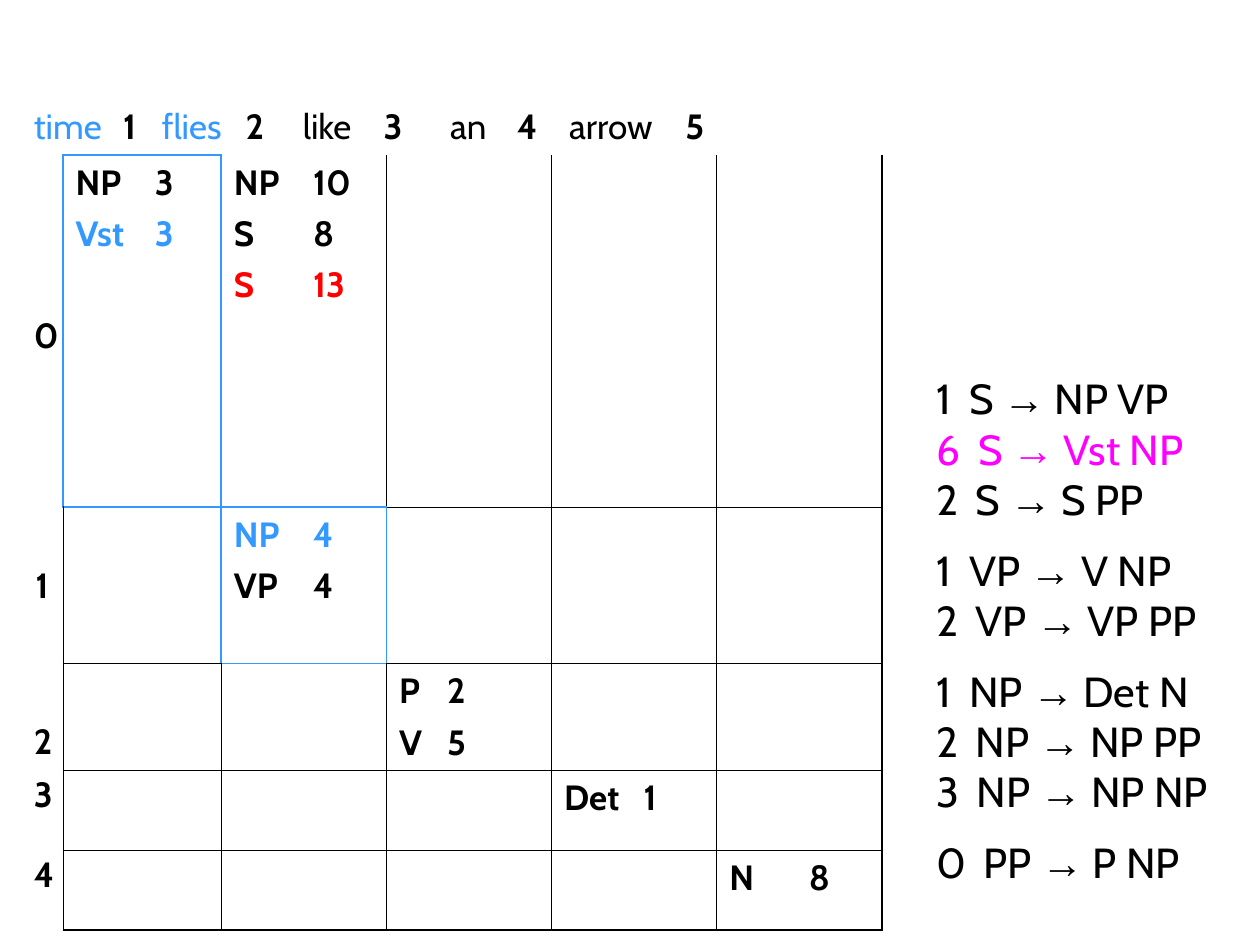
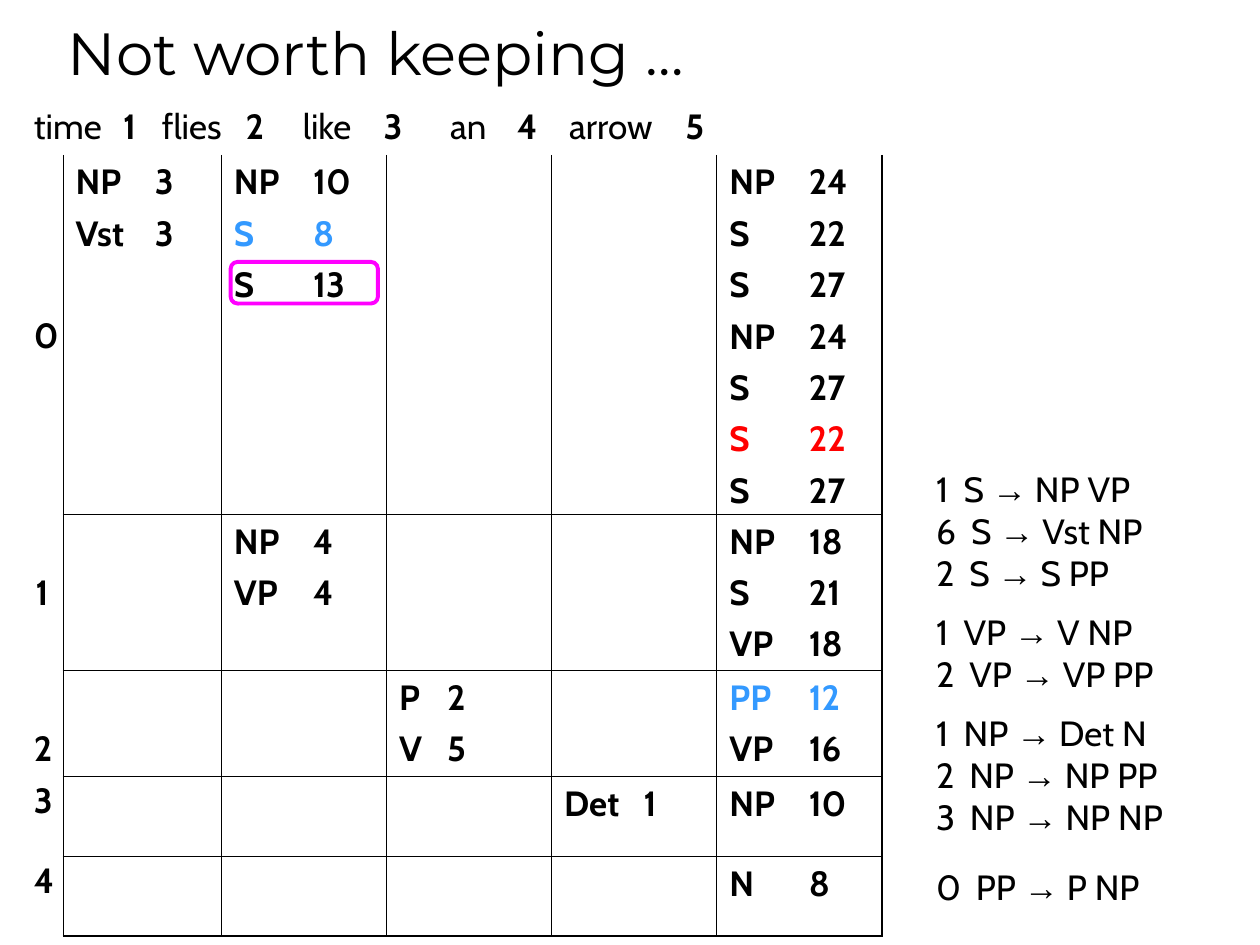
from dataclasses import dataclass

import pptx
import pptx.dml.color
import pptx.enum.shapes
import pptx.enum.text
import pptx.oxml.ns
import pptx.util
from lxml import etree

Cm = pptx.util.Cm
Pt = pptx.util.Pt


@dataclass(frozen=True)
class Theme:
    black: str = "000000"
    blue: str = "3399FF"
    red: str = "FF0000"
    magenta: str = "FF00FF"
    body_font: str = "Cabin"
    arrow_font: str = "Arial"
    title_font: str = "Montserrat"
    title_size: int = 34
    large_size: int = 24
    chart_size: int = 20
    thin: float = 0.45
    thick: float = 1.08


THEME = Theme()
NO_GRID_STYLE = "{2D5ABB26-0587-4C30-8999-92F81FD0307C}"
MARGIN_TOP = 0.13
LINE_PITCH = 1.03

COLUMN_WIDTHS = [0.84, 3.19] + [3.33] * 4
HEADER_HEIGHT = 1.11
LOWER_ROW_HEIGHTS = [3.15, 2.14, 1.61, 1.61]
LAST_ROW = len(LOWER_ROW_HEIGHTS) + 1
LAST_COLUMN = len(COLUMN_WIDTHS) - 1

SENTENCE = ["time", "1", "flies", "2", "like", "3", "an", "4", "arrow", "5"]
SENTENCE_TABS = [1.8, 2.58, 4.27, 5.42, 7.05, 8.39, 9.74, 10.79, 13.13]
LABEL_DROPS = [3, 1, 1, 0, 0]
TIGHT_LABELS = ("3", "4")

BASE_ENTRIES = {
    (1, 1): ["NP 3", "Vst 3"],
    (1, 2): ["NP 10", "S 8", "S 13"],
    (2, 2): ["NP 4", "VP 4"],
    (3, 3): ["P 2", "V 5"],
    (4, 4): ["Det 1"],
    (5, 5): ["N 8"],
}
FULL_ENTRIES = BASE_ENTRIES | {
    (1, 5): ["NP 24", "S 22", "S 27", "NP 24", "S 27", "S 22", "S 27"],
    (2, 5): ["NP 18", "S 21", "VP 18"],
    (3, 5): ["PP 12", "VP 16"],
    (4, 5): ["NP 10"],
}

RULE_GROUPS = [
    [("1", "S", "NP VP"), ("6", "S", "Vst NP"), ("2", "S", "S PP")],
    [("1", "VP", "V NP"), ("2", "VP", "VP PP")],
    [("1", "NP", "Det N"), ("2", "NP", "NP PP"), ("3", "NP", "NP NP")],
    [("0", "PP", "P NP")],
]
WEIGHT_WIDTHS = {"0": 1.14, "1": 0.79, "2": 0.95, "3": 0.97, "6": 1.0}


def rgb(colour):
    return pptx.dml.color.RGBColor.from_string(colour)


def write(para, text, size=THEME.chart_size, bold=False, colour=THEME.black,
          font=THEME.body_font):
    span = para.add_run()
    span.text = text
    span.font.size = Pt(size)
    span.font.bold = bold
    span.font.name = font
    span.font.color.rgb = rgb(colour)


def next_paragraph(frame, first):
    return frame.paragraphs[0] if first else frame.add_paragraph()


def set_tabs(para, stops):
    properties = para._p.get_or_add_pPr()
    tabs = etree.SubElement(properties, pptx.oxml.ns.qn("a:tabLst"))
    for stop in stops:
        etree.SubElement(tabs, pptx.oxml.ns.qn("a:tab"),
                         pos=str(Cm(stop)), algn="l")


def edge_style(row, column, side, marked):
    neighbour = {
        "L": (row, column - 1), "R": (row, column + 1),
        "T": (row - 1, column), "B": (row + 1, column),
    }[side]
    if row == 0:
        return None
    if (row, column) in marked or neighbour in marked:
        return THEME.blue, THEME.thick
    if (column == 0 and side != "R") or (row == 1 and side == "T"):
        return None
    outer = (side == "R" and column == LAST_COLUMN) or (
        side == "B" and row == LAST_ROW)
    return THEME.black, THEME.thick if outer else THEME.thin


def set_borders(cell, row, column, marked):
    properties = cell._tc.get_or_add_tcPr()
    for side in "LRTB":
        style = edge_style(row, column, side, marked)
        line = etree.SubElement(properties, pptx.oxml.ns.qn("a:ln" + side))
        if style is None:
            etree.SubElement(line, pptx.oxml.ns.qn("a:noFill"))
            continue
        colour, width = style
        line.set("w", str(Pt(width)))
        fill = etree.SubElement(line, pptx.oxml.ns.qn("a:solidFill"))
        etree.SubElement(fill, pptx.oxml.ns.qn("a:srgbClr"), val=colour)


def fill_sentence(cell, coloured_words):
    para = cell.text_frame.paragraphs[0]
    set_tabs(para, SENTENCE_TABS)
    for index, word in enumerate(SENTENCE):
        colour = THEME.blue if word in coloured_words else THEME.black
        write(para, word if index == 0 else "\t" + word,
              bold=word.isdigit(), colour=colour)


def fill_label(cell, label, drop):
    cell.margin_top = Cm(MARGIN_TOP + drop * LINE_PITCH)
    para = cell.text_frame.paragraphs[0]
    para.alignment = pptx.enum.text.PP_ALIGN.CENTER
    if label in TIGHT_LABELS:
        para.line_spacing = 0.9
    write(para, label, bold=True)


def fill_entries(cell, entries, place, colours):
    for index, entry in enumerate(entries):
        para = next_paragraph(cell.text_frame, index == 0)
        if index:
            para.space_before = Pt(5)
        set_tabs(para, [0.97 if place == (3, 3) else 1.6])
        write(para, entry.replace(" ", "\t"), bold=True,
              colour=colours.get((*place, index), THEME.black))


def add_parse_chart(page, first_height, entries, colours, marked=(),
                    coloured_words=()):
    heights = [HEADER_HEIGHT, first_height, *LOWER_ROW_HEIGHTS]
    frame = page.shapes.add_table(
        len(heights), len(COLUMN_WIDTHS), Cm(0.43), Cm(2.01),
        Cm(sum(COLUMN_WIDTHS)), Cm(sum(heights)))
    table = frame.table
    table.first_row = False
    table.horz_banding = False
    table._tbl.tblPr.find(pptx.oxml.ns.qn("a:tableStyleId")).text = NO_GRID_STYLE
    for column, width in zip(table.columns, COLUMN_WIDTHS):
        column.width = Cm(width)
    for row, height in zip(table.rows, heights):
        row.height = Cm(height)
    for row in range(len(heights)):
        for column in range(len(COLUMN_WIDTHS)):
            cell = table.cell(row, column)
            set_borders(cell, row, column, marked)
            cell.fill.background()
    table.cell(0, 0).merge(table.cell(0, LAST_COLUMN))
    fill_sentence(table.cell(0, 0), coloured_words)
    for index, drop in enumerate(LABEL_DROPS):
        fill_label(table.cell(index + 1, 0), str(index), drop)
    for place, lines in entries.items():
        fill_entries(table.cell(*place), lines, place, colours)


def add_text_box(page, left, top, width, height):
    box = page.shapes.add_textbox(Cm(left), Cm(top), Cm(width), Cm(height))
    box.text_frame.word_wrap = True
    return box.text_frame


def add_grammar(page, top, height, size, coloured_rule=None, last_spacing=1.4):
    frame = add_text_box(page, 18.62, top, 6.78, height)
    for group_index, group in enumerate(RULE_GROUPS):
        for index, rule in enumerate(group):
            weight, left_side, right_side = rule
            para = next_paragraph(frame, group_index == index == 0)
            if group_index and index == 0:
                last = group is RULE_GROUPS[-1]
                para.line_spacing = last_spacing if last else 1.4
            set_tabs(para, [Pt(size).cm * WEIGHT_WIDTHS[weight]])
            colour = THEME.magenta if rule == coloured_rule else THEME.black
            write(para, f"{weight}\t{left_side} ", size=size, colour=colour)
            write(para, "→", size=size, colour=colour, font=THEME.arrow_font)
            write(para, f" {right_side}", size=size, colour=colour)


def add_title(page, text):
    frame = add_text_box(page, 1.12, 0.15, 21.59, 1.75)
    frame.vertical_anchor = pptx.enum.text.MSO_ANCHOR.BOTTOM
    para = frame.paragraphs[0]
    para.line_spacing = 0.9
    write(para, text, size=THEME.title_size, font=THEME.title_font)


def add_entry_outline(page, left, top, width, height):
    outline = page.shapes.add_shape(
        pptx.enum.shapes.MSO_SHAPE.ROUNDED_RECTANGLE,
        Cm(left), Cm(top), Cm(width), Cm(height))
    outline.shadow.inherit = False
    outline.fill.background()
    outline.line.color.rgb = rgb(THEME.magenta)
    outline.line.width = Pt(2.25)


def main():
    deck = pptx.Presentation()
    deck.slide_width = Cm(25.4)
    deck.slide_height = Cm(19.05)
    blank = deck.slide_layouts[6]

    page = deck.slides.add_slide(blank)
    add_parse_chart(
        page, 7.1, BASE_ENTRIES,
        colours={(1, 1, 1): THEME.blue, (1, 2, 2): THEME.red,
                 (2, 2, 0): THEME.blue},
        marked=[(1, 1), (2, 2)], coloured_words=["time", "flies"])
    add_grammar(page, 7.39, 10.62, THEME.large_size,
                coloured_rule=("6", "S", "Vst NP"))

    page = deck.slides.add_slide(blank)
    add_parse_chart(
        page, 7.22, FULL_ENTRIES,
        colours={(1, 2, 1): THEME.blue, (1, 5, 5): THEME.red,
                 (3, 5, 0): THEME.blue})
    add_grammar(page, 9.3, 9.14, THEME.chart_size, last_spacing=1.68)
    add_title(page, "Not worth keeping …")
    add_entry_outline(page, 4.65, 5.28, 2.97, 0.84)

    deck.save("out.pptx")


if __name__ == "__main__":
    main()
